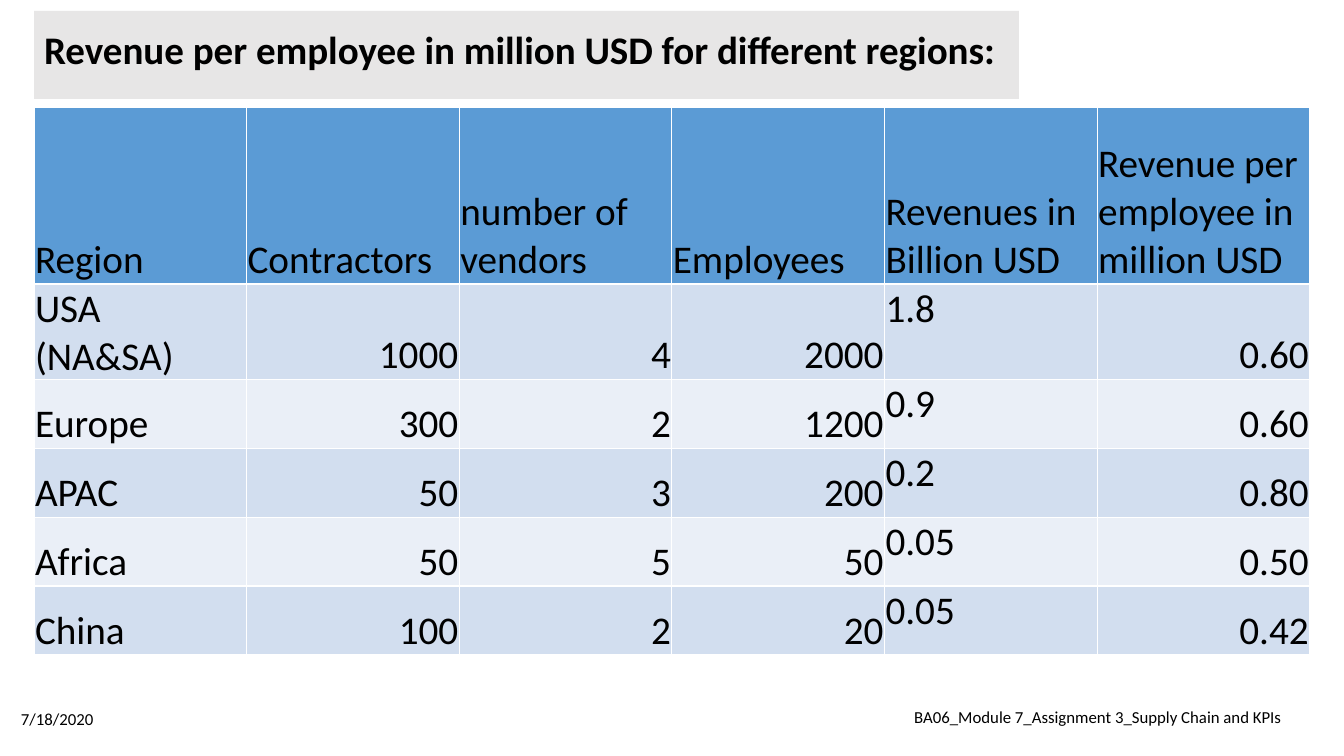
from pptx import Presentation
from pptx.dml.color import RGBColor
from pptx.enum.text import MSO_ANCHOR, MSO_AUTO_SIZE, PP_ALIGN
from pptx.util import Emu, Pt


def px(n):
    """Pixels at 100.8 to the inch, as EMU."""
    return Emu(round(n * 914400 / 100.8))


def style(p, size, align=PP_ALIGN.LEFT, bold=False):
    p.alignment = align
    p.font.name = "Calibri"
    p.font.size = Pt(size)
    p.font.bold = bold
    p.font.color.rgb = RGBColor.from_string("000000")


prs = Presentation()
prs.slide_width, prs.slide_height = px(1344), px(756)
s = prs.slides.add_slide(prs.slide_layouts[5])

# Title
title = s.shapes.title
title.left, title.top, title.width, title.height = px(34), px(11), px(985), px(88)
title.fill.solid()
title.fill.fore_color.rgb = RGBColor.from_string("E7E6E6")
tf = title.text_frame
tf.text = "Revenue per employee in million USD for different regions:"
tf.auto_size = MSO_AUTO_SIZE.NONE
tf.vertical_anchor = MSO_ANCHOR.MIDDLE
tf.margin_bottom = px(12)
p = tf.paragraphs[0]
p.line_spacing = 0.9
style(p, 27.9, bold=True)

# Date and footer
for text, left, top, width, align in [
    ("7/18/2020", 11, 699, 302, PP_ALIGN.LEFT),
    ("BA06_Module 7_Assignment 3_Supply Chain and KPIs", 871, 697, 454, PP_ALIGN.CENTER),
]:
    tf = s.shapes.add_textbox(px(left), px(top), px(width), px(40)).text_frame
    tf.word_wrap = True
    tf.vertical_anchor = MSO_ANCHOR.MIDDLE
    tf.text = text
    style(tf.paragraphs[0], 12, align)

# Revenue table
rows = [
    ("Region", "Contractors", "number of vendors", "Employees",
     "Revenues in Billion USD", "Revenue per employee in million USD"),
    ("USA (NA&SA)", "1000", "4", "2000", "1.8", "0.60"),
    ("Europe", "300", "2", "1200", "0.9", "0.60"),
    ("APAC", "50", "3", "200", "0.2", "0.80"),
    ("Africa", "50", "5", "50", "0.05", "0.50"),
    ("China", "100", "2", "20", "0.05", "0.42"),
]
row_heights = [177, 90, 69, 69, 69, 69]
REGION, REVENUES = 0, 4
table = s.shapes.add_table(len(rows), len(rows[0]), px(34), px(107),
                           px(1276), px(sum(row_heights))).table
for r, (values, height) in enumerate(zip(rows, row_heights)):
    table.rows[r].height = px(height)
    fill = "5B9BD5" if r == 0 else "D2DEEF" if r % 2 else "EAEFF7"
    for c, value in enumerate(values):
        cell = table.cell(r, c)
        cell.fill.solid()
        cell.fill.fore_color.rgb = RGBColor.from_string(fill)
        cell.margin_left = cell.margin_top = cell.margin_right = px(1)
        cell.margin_bottom = 0
        top = r > 0 and c == REVENUES
        cell.vertical_anchor = MSO_ANCHOR.TOP if top else MSO_ANCHOR.BOTTOM
        cell.text = value
        left = r == 0 or c in (REGION, REVENUES)
        style(cell.text_frame.paragraphs[0], 28, PP_ALIGN.LEFT if left else PP_ALIGN.RIGHT)

prs.save("out.pptx")
